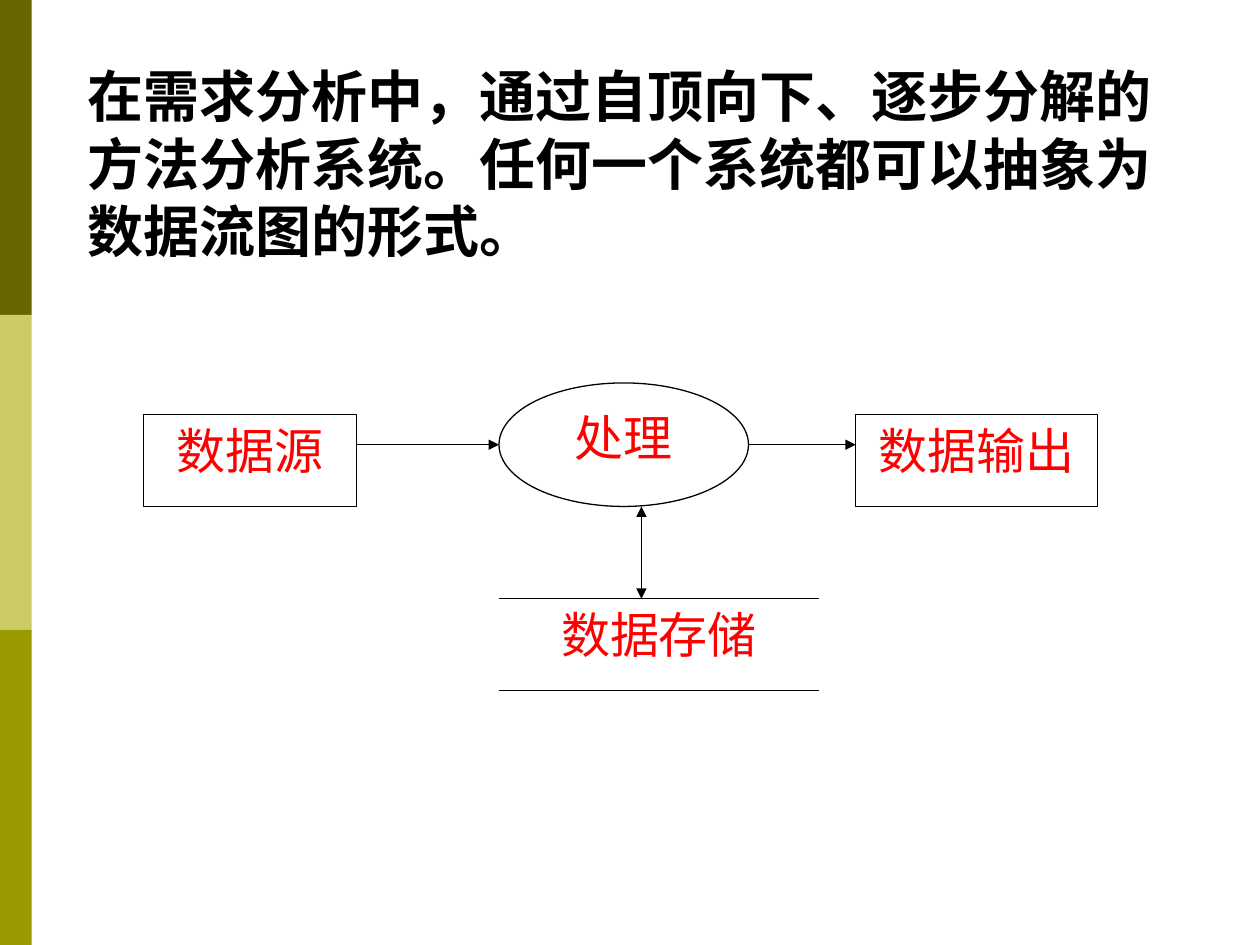
from dataclasses import dataclass

from lxml.etree import SubElement
from pptx import Presentation
from pptx.dml.color import RGBColor
from pptx.enum.shapes import MSO_CONNECTOR, MSO_SHAPE
from pptx.enum.text import MSO_ANCHOR, MSO_AUTO_SIZE, PP_ALIGN
from pptx.oxml.ns import qn
from pptx.util import Cm, Pt

COLORS = {
    "dark": "666600",
    "light": "CCCC66",
    "olive": "999900",
    "paper": "FFFFFF",
    "ink": "000000",
    "label": "FF0000",
}
CJK = "Noto Sans CJK KR"
HEAD = {"size": Pt(32), "bold": True, "name": CJK}
LABEL = {"size": Pt(28), "bold": False, "name": "Times New Roman"}


@dataclass
class Node:
    text: str
    left: float
    top: float
    width: float
    height: float
    kind: MSO_SHAPE = MSO_SHAPE.RECTANGLE
    fill: str = "paper"
    line: str = "ink"


@dataclass
class Edge:
    x1: float
    y1: float
    x2: float
    y2: float
    ends: tuple = ()


BAR = 6.35
BARS = [
    Node("", 0, i * BAR, 0.64, BAR, fill=name, line="")
    for i, name in enumerate(("dark", "light", "olive"))
]
STORE = Node("数据存储", 10.06, 12.07, 6.45, 1.85, line="")
SOURCE = Node("数据源", 2.9, 8.36, 4.29, 1.85)
OUTPUT = Node("数据输出", 17.25, 8.36, 4.88, 1.85)
PROCESS = Node("处理", 10.06, 7.72, 5.03, 2.49, MSO_SHAPE.OVAL)

FLOW = PROCESS.top + PROCESS.height / 2
BASE = PROCESS.top + PROCESS.height
RIGHT = STORE.left + STORE.width
EDGES = [
    Edge(SOURCE.left + SOURCE.width, FLOW, PROCESS.left, FLOW, ("tailEnd",)),
    Edge(PROCESS.left + PROCESS.width, FLOW, OUTPUT.left, FLOW, ("tailEnd",)),
    Edge(12.93, BASE, 12.93, STORE.top, ("headEnd", "tailEnd")),
] + [Edge(STORE.left, y, RIGHT, y) for y in (STORE.top, STORE.top + STORE.height)]


def color(name: str) -> RGBColor:
    return RGBColor.from_string(COLORS[name])


def write(frame, text: str, style: dict, ink: str, align: PP_ALIGN) -> None:
    frame.word_wrap = True
    frame.vertical_anchor = MSO_ANCHOR.TOP
    para = frame.paragraphs[0]
    para.alignment = align
    run = para.add_run()
    run.text = text
    for key, value in style.items():
        setattr(run.font, key, value)
    run.font.color.rgb = color(ink)
    SubElement(run.font._element, qn("a:ea")).set("typeface", CJK)


def draw(slide, node: Node) -> None:
    box = (node.left, node.top, node.width, node.height)
    shape = slide.shapes.add_shape(node.kind, *map(Cm, box))
    shape.shadow.inherit = False
    shape.fill.solid()
    shape.fill.fore_color.rgb = color(node.fill)
    if node.line:
        shape.line.color.rgb = color(node.line)
        shape.line.width = Pt(0.75)
    else:
        shape.line.fill.background()
    if node.text:
        write(shape.text_frame, node.text, LABEL, "label", PP_ALIGN.CENTER)


def link(slide, edge: Edge) -> None:
    ends = (edge.x1, edge.y1, edge.x2, edge.y2)
    wire = slide.shapes.add_connector(MSO_CONNECTOR.STRAIGHT, *map(Cm, ends))
    wire.line.color.rgb = color("ink")
    wire.line.width = Pt(0.75)
    for end in edge.ends:
        SubElement(wire.line._get_or_add_ln(), qn(f"a:{end}")).set("type", "triangle")
    SubElement(wire._element.spPr, qn("a:effectLst"))


def main() -> None:
    deck = Presentation()
    deck.slide_width, deck.slide_height = Cm(25.4), Cm(19.05)
    slide = deck.slides.add_slide(deck.slide_layouts[5])
    for node in BARS + [STORE, SOURCE, OUTPUT, PROCESS]:
        draw(slide, node)
    for edge in EDGES:
        link(slide, edge)

    title = slide.shapes.title
    place = {"left": 1.5, "top": 1.12, "width": 22.6, "height": 4.37}
    for key, value in place.items():
        setattr(title, key, Cm(value))
    text = "在需求分析中，通过自顶向下、逐步分解的方法分析系统。任何一个系统都可以抽象为数据流图的形式。"
    write(title.text_frame, text, HEAD, "ink", PP_ALIGN.LEFT)
    title.text_frame.auto_size = MSO_AUTO_SIZE.SHAPE_TO_FIT_TEXT
    deck.save("out.pptx")


if __name__ == "__main__":
    main()
